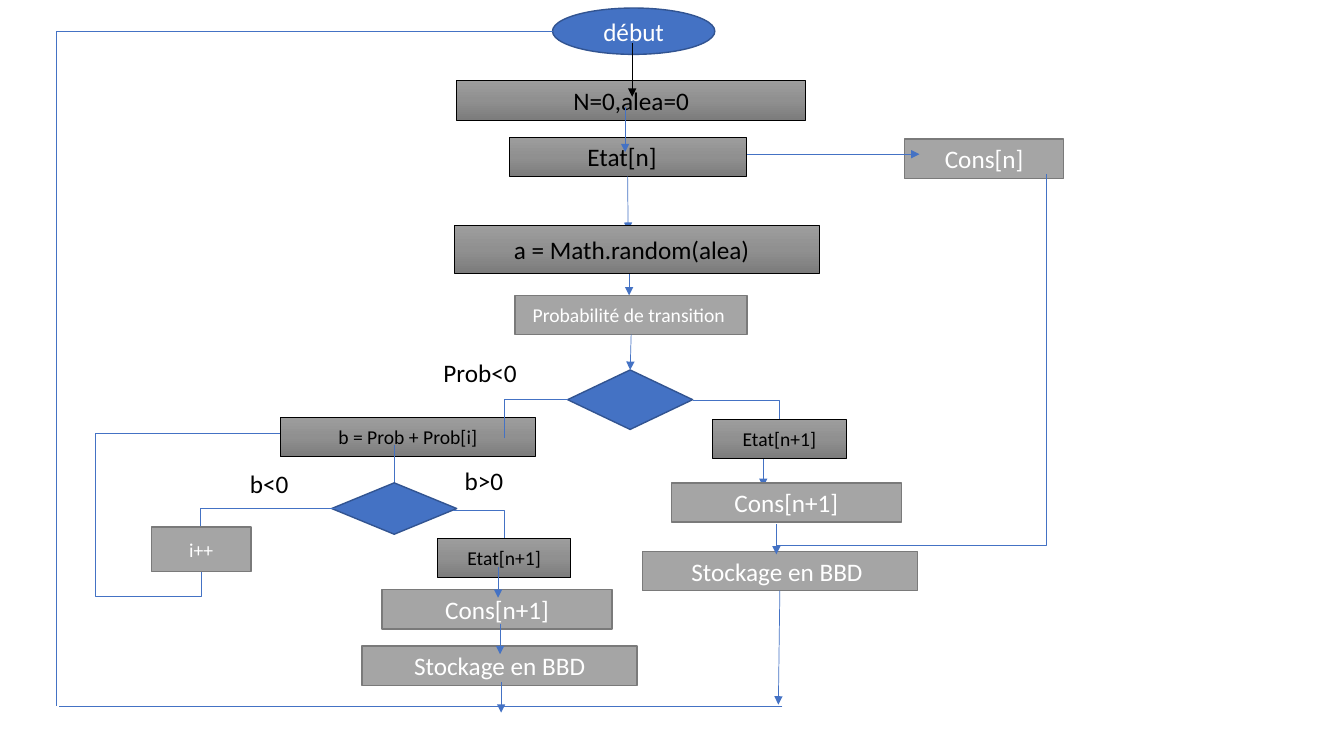
from copy import deepcopy
from dataclasses import dataclass
from typing import Union

from pptx import Presentation
from pptx.dml.color import RGBColor as Rgb
from pptx.enum.shapes import MSO_CONNECTOR as Link, MSO_SHAPE as Form
from pptx.enum.text import MSO_ANCHOR as Anchor, MSO_AUTO_SIZE as Fit, PP_ALIGN as Align
from pptx.oxml.ns import qn
from pptx.oxml.xmlchemy import OxmlElement as Node
from pptx.util import Inches, Pt


@dataclass(frozen=True)
class Look:
    fill: tuple[str, ...]
    edge: str
    width: float
    ink: str


@dataclass(frozen=True)
class Theme:
    font: str = "Calibri"
    big: int = 18
    small: int = 14
    thin: float = 0.5
    blue: str = "4472C4"
    black: str = "000000"
    solid: Look = Look(("4472C4",), "325491", 1, "FFFFFF")
    grey: Look = Look(("A5A5A5",), "7A7A7A", 1, "FFFFFF")
    dark: Look = Look(("9D9D9D", "909090", "7C7C7C"), "000000", 0.5, "000000")


THEME = Theme()


@dataclass(frozen=True)
class Box:
    text: str
    left: float
    top: float
    wide: float
    look: Look
    high: float = 0.39
    size: int = THEME.big
    form: Form = Form.RECTANGLE
    pad: float = 0
    key: str = ""


@dataclass(frozen=True)
class Label:
    text: str
    left: float
    top: float
    wide: float


@dataclass(frozen=True)
class Line:
    x: float
    y: float
    to_x: float
    to_y: float
    color: str = THEME.blue
    arrow: bool = True
    source: str = ""
    target: str = ""


@dataclass(frozen=True)
class Bend:
    points: tuple[tuple[float, float], ...]


Item = Union[Box, Label, Line, Bend]


def etat(left: float, top: float) -> Box:
    return Box("Etat[n+1]", left, top, 1.32, THEME.dark, size=THEME.small)


def cons(left: float, top: float) -> Box:
    return Box("Cons[n+1]", left, top, 2.28, THEME.grey)


def choice(left: float, top: float, high: float, key: str = "") -> Box:
    return Box("", left, top, 1.24, THEME.solid, high, form=Form.FLOWCHART_DECISION, key=key)


ITEMS: list[Item] = [
    Bend(((3.58, 4.3), (0.95, 4.3), (0.95, 5.92), (2, 5.92), (2, 5.67))),
    Line(7.57, 4.52, 7.57, 4.83),
    Box("début", 5.48, 0.08, 1.61, THEME.solid, 0.46, form=Form.OVAL),
    Box("N=0,alea=0", 4.53, 0.8, 3.46, THEME.dark),
    Line(6.27, 0.43, 6.27, 0.96, THEME.black),
    Box("Etat[n]", 5.05, 1.36, 2.35, THEME.dark, pad=0.11, key="etat"),
    Line(6.23, 1.76, 6.23, 2.29, source="etat"),
    Line(6.24, 2.5, 6.24, 2.93),
    Box("a = Math.random(alea)", 4.51, 2.24, 3.62, THEME.dark, 0.47, pad=0.11),
    Box("Probabilité de transition ", 5.11, 2.93, 2.3, THEME.grey, size=THEME.small, key="prob"),
    choice(5.63, 3.67, 0.59, "test"),
    Line(6.26, 3.32, 6.25, 3.67, source="prob", target="test"),
    Box("b = Prob + Prob[i]", 2.78, 4.14, 2.53, THEME.dark, size=THEME.small),
    etat(7.07, 4.16),
    Line(6.2, 1.06, 6.2, 1.51),
    Line(3.91, 4.41, 3.91, 4.96),
    choice(3.29, 4.79, 0.51),
    Bend(((3.37, 5.04), (1.99, 5.04), (1.99, 5.41))),
    Box("i++", 1.5, 5.23, 0.99, THEME.grey, 0.44, THEME.small),
    Label("b<0", 2.38, 4.6, 1.07),
    Label("Prob<0", 4.3, 3.5, 1.01),
    Bend(((5, 4.35), (5, 3.96), (5.63, 3.96))),
    Bend(((5, 5.34), (5, 5.06), (4.49, 5.06))),
    Label("b>0", 4.51, 4.57, 1.07),
    Box("Cons[n]", 8.97, 1.38, 1.58, THEME.grey),
    Box("Stockage en BBD ", 6.37, 5.47, 2.73, THEME.grey, key="store"),
    cons(6.66, 4.79),
    Bend(((7.73, 4.16), (7.73, 3.97), (6.87, 3.97))),
    Line(7.7, 5.2, 7.7, 5.5),
    etat(4.34, 5.34),
    cons(3.79, 5.85),
    Box("Stockage en BBD", 3.59, 6.41, 2.73, THEME.grey),
    Line(4.94, 5.63, 4.94, 5.93),
    Line(4.96, 6.19, 4.96, 6.49),
    Line(7.41, 1.53, 9.12, 1.53),
    Bend(((7.7, 5.3), (7.7, 5.41), (10.38, 5.41), (10.38, 1.73))),
    Line(7.73, 5.86, 7.72, 6.99, source="store"),
    Line(4.97, 6.77, 4.97, 7.07),
    Bend(((5.48, 0.31), (0.56, 0.31), (0.56, 7))),
    Line(7.76, 7.01, 0.59, 7.01, arrow=False),
]


def stroke(line, color: str, width: float) -> None:
    line.color.rgb = Rgb.from_string(color)
    line.width = Pt(width)


def paint(shape, colors: tuple[str, ...]) -> None:
    fill = shape.fill
    if len(colors) == 1:
        fill.solid()
        fill.fore_color.rgb = Rgb.from_string(colors[0])
        return
    fill.gradient()
    fill.gradient_angle = 270
    stops = shape._element.spPr.find(qn("a:gradFill")).find(qn("a:gsLst"))
    stops.append(deepcopy(stops[-1]))
    for rank, (stop, color) in enumerate(zip(fill.gradient_stops, colors)):
        stop.color.rgb = Rgb.from_string(color)
        stop.position = rank / (len(colors) - 1)


def write(frame, text: str, size: int, ink: str, align: Align) -> None:
    frame.word_wrap = True
    para = frame.paragraphs[0]
    para.alignment = align
    run = para.add_run()
    run.text = text
    run.font.name = THEME.font
    run.font.size = Pt(size)
    run.font.color.rgb = Rgb.from_string(ink)


def draw_box(shapes, box: Box, known: dict) -> None:
    shape = shapes.add_shape(box.form, *map(Inches, (box.left, box.top, box.wide, box.high)))
    shape.shadow.inherit = False
    paint(shape, box.look.fill)
    stroke(shape.line, box.look.edge, box.look.width)
    if box.text:
        frame = shape.text_frame
        frame.vertical_anchor = Anchor.MIDDLE
        frame.margin_right = Inches(0.1 + box.pad)
        write(frame, box.text, box.size, box.look.ink, Align.CENTER)
    if box.key:
        known[box.key] = shape


def draw_label(shapes, label: Label) -> None:
    shape = shapes.add_textbox(*map(Inches, (label.left, label.top, label.wide, 0.4)))
    write(shape.text_frame, label.text, THEME.big, THEME.black, Align.LEFT)
    shape.text_frame.auto_size = Fit.SHAPE_TO_FIT_TEXT


def draw_line(shapes, line: Line, known: dict) -> None:
    link = shapes.add_connector(Link.STRAIGHT, *map(Inches, (line.x, line.y, line.to_x, line.to_y)))
    stroke(link.line, line.color, THEME.thin)
    if line.arrow:
        tail = Node("a:tailEnd")
        tail.set("type", "triangle")
        link.line._get_or_add_ln().append(tail)
    link._element.spPr.append(Node("a:effectLst"))
    if line.source:
        link.begin_connect(known[line.source], 2)
    if line.target:
        link.end_connect(known[line.target], 0)


def draw_bend(shapes, bend: Bend) -> None:
    first, *rest = [(Inches(x), Inches(y)) for x, y in bend.points]
    pen = shapes.build_freeform(*first)
    pen.add_line_segments(rest, close=False)
    shape = pen.convert_to_shape()
    shape.shadow.inherit = False
    shape.fill.background()
    stroke(shape.line, THEME.blue, THEME.thin)


def main() -> None:
    deck = Presentation()
    deck.slide_width, deck.slide_height = Inches(13.33), Inches(7.5)
    shapes = deck.slides.add_slide(deck.slide_layouts[6]).shapes
    known: dict = {}
    for item in ITEMS:
        if isinstance(item, Box):
            draw_box(shapes, item, known)
        elif isinstance(item, Label):
            draw_label(shapes, item)
        elif isinstance(item, Line):
            draw_line(shapes, item, known)
        else:
            draw_bend(shapes, item)
    deck.save("out.pptx")


if __name__ == "__main__":
    main()
